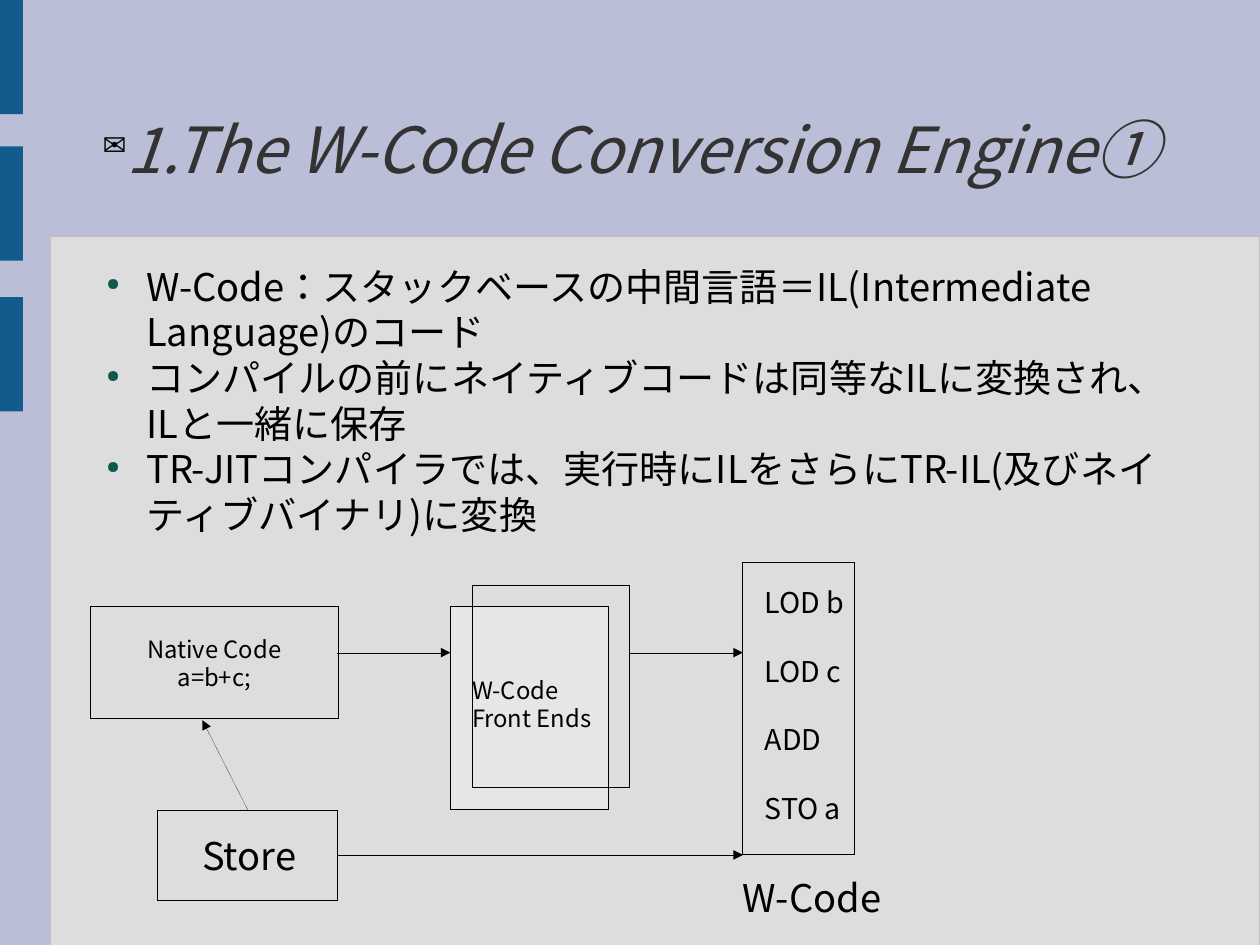
"""Builds the slide on the W-Code conversion engine."""
import pptx
import pptx.dml.color
import pptx.enum.lang
import pptx.enum.shapes
import pptx.enum.text
import pptx.oxml.ns
import pptx.util
from lxml import etree

Inches = pptx.util.Inches
Align = pptx.enum.text.PP_ALIGN
Anchor = pptx.enum.text.MSO_ANCHOR
COLOURS = {
    "background": "BABED6",
    "panel": "DDDDDD",
    "panel_edge": "C0C0C0",
    "bar": "125C8D",
    "front_end": "E6E6E6",
    "title": "333333",
    "bullet": "0E594D",
    "ink": "000000",
}


def colour(name):
    return pptx.dml.color.RGBColor.from_string(COLOURS[name])


def add_child(parent, tag, **attributes):
    return etree.SubElement(parent, pptx.oxml.ns.qn(tag), attributes)


def write(frame, text, size=24, ink="ink", italic=None, align=Align.LEFT,
          anchor=Anchor.TOP, gap=0, bullet=None, bullet_ink="ink", indent=(0, 0)):
    frame.word_wrap = True
    frame.auto_size = pptx.enum.text.MSO_AUTO_SIZE.NONE
    frame.vertical_anchor = anchor
    frame.margin_left = frame.margin_right = frame.margin_top = frame.margin_bottom = 0
    for number, line in enumerate(text.split("\n")):
        para = frame.add_paragraph() if number else frame.paragraphs[0]
        para.alignment = align
        para.space_before = pptx.util.Pt(gap if number else 0)
        span = para.add_run()
        span.text = line
        span.font.size = pptx.util.Pt(size)
        span.font.italic = italic
        span.font.color.rgb = colour(ink)
        span.font.name = Deck.font
        span.font.language_id = pptx.enum.lang.MSO_LANGUAGE_ID.JAPANESE
        add_child(span.font._element, "a:ea", typeface=Deck.font)
        properties = para._p.get_or_add_pPr()
        properties.set("hangingPunct", "0")
        if bullet:
            properties.set("marL", str(Inches(indent[0])))
            properties.set("indent", str(Inches(indent[1])))
            paint = add_child(properties, "a:buClr")
            add_child(paint, "a:srgbClr", val=COLOURS[bullet_ink])
            add_child(properties, "a:buSzPct", val="45000")
            add_child(properties, "a:buFont", typeface="OpenSymbol")
            add_child(properties, "a:buChar", char=bullet)


class Deck:
    """Holds the style and the current page, and draws each kind of element."""

    font = "Noto Sans CJK JP"

    def __init__(self, width, height):
        self.deck = pptx.Presentation()
        self.deck.slide_width, self.deck.slide_height = width, height
        self.page = self.deck.slides.add_slide(self.deck.slide_layouts[1])
        self.page.background.fill.solid()
        self.page.background.fill.fore_color.rgb = colour("background")

    def hairline(self, line, ink):
        line.color.rgb = colour(ink)
        outline = line._get_or_add_ln()
        outline.set("w", "0")
        return outline

    def box(self, left, top, width, height, fill=None, edge="ink"):
        box = self.page.shapes.add_shape(
            pptx.enum.shapes.MSO_SHAPE.RECTANGLE, *map(Inches, (left, top, width, height)))
        box.shadow.inherit = False
        if fill:
            box.fill.solid()
            box.fill.fore_color.rgb = colour(fill)
        else:
            box.fill.background()
        if edge:
            self.hairline(box.line, edge)
        else:
            box.line.fill.background()
        return box

    def placeholder(self, index, left, top, width, height, text, **style):
        holder = self.page.placeholders[index]
        holder.left, holder.top = Inches(left), Inches(top)
        holder.width, holder.height = Inches(width), Inches(height)
        holder.element.getparent().append(holder.element)
        write(holder.text_frame, text, **style)

    def label(self, left, top, width, height, text, **style):
        label = self.page.shapes.add_textbox(*map(Inches, (left, top, width, height)))
        write(label.text_frame, text, **style)

    def arrow(self, start, end):
        arrow = self.page.shapes.add_connector(
            pptx.enum.shapes.MSO_CONNECTOR.STRAIGHT, *map(Inches, start + end))
        add_child(self.hairline(arrow.line, "ink"), "a:tailEnd", type="triangle")
        add_child(arrow.element.spPr, "a:effectLst")

    def save(self):
        self.deck.save("out.pptx")


def main():
    deck = Deck(pptx.util.Cm(28), pptx.util.Cm(21))
    deck.box(0.44, 2.07, 10.58, 6.2, fill="panel", edge="panel_edge")
    for top in (0, 1.28, 2.6):
        deck.box(0, top, 0.2, 1, fill="bar", edge=None)

    deck.placeholder(0, 0.81, 0.61, 9.41, 1.38, "1.The W-Code Conversion Engine①",
                     size=40, ink="title", italic=True, align=Align.CENTER,
                     anchor=Anchor.MIDDLE, bullet="✉")
    points = (
        "W-Code：スタックベースの中間言語＝IL(Intermediate Language)のコード",
        "コンパイルの前にネイティブコードは同等なILに変換され、ILと一緒に保存",
        "TR-JITコンパイラでは、実行時にILをさらにTR-IL(及びネイティブバイナリ)に変換",
    )
    deck.placeholder(1, 0.81, 2.3, 9.41, 5.21, "\n".join(points),
                     bullet="●", bullet_ink="bullet", indent=(0.47, -0.35))

    deck.arrow((2.95, 5.71), (3.94, 5.71))
    native = deck.box(0.79, 5.31, 2.17, 0.98)
    write(native.text_frame, "Native Code\na=b+c;", size=15,
          align=Align.CENTER, anchor=Anchor.MIDDLE)
    deck.box(3.94, 5.31, 1.38, 1.77, fill="front_end")
    deck.box(4.13, 5.12, 1.38, 1.77)
    deck.label(4.13, 5.91, 2.17, 0.6, "W-Code\nFront Ends", size=15)
    deck.arrow((5.51, 5.71), (6.5, 5.71))
    deck.box(6.5, 4.92, 0.98, 2.56)
    deck.label(6.69, 5.12, 1.57, 2.53, "LOD b\nLOD c\nADD\nSTO a", size=18, gap=21.6)
    deck.label(6.5, 7.65, 2.17, 0.48, "W-Code")
    deck.label(1.77, 7.28, 1.97, 0.48, "Store")
    deck.box(1.38, 7.09, 1.57, 0.79)
    deck.arrow((2.17, 7.09), (1.77, 6.3))
    deck.arrow((2.95, 7.48), (6.5, 7.48))
    deck.save()


if __name__ == "__main__":
    main()
